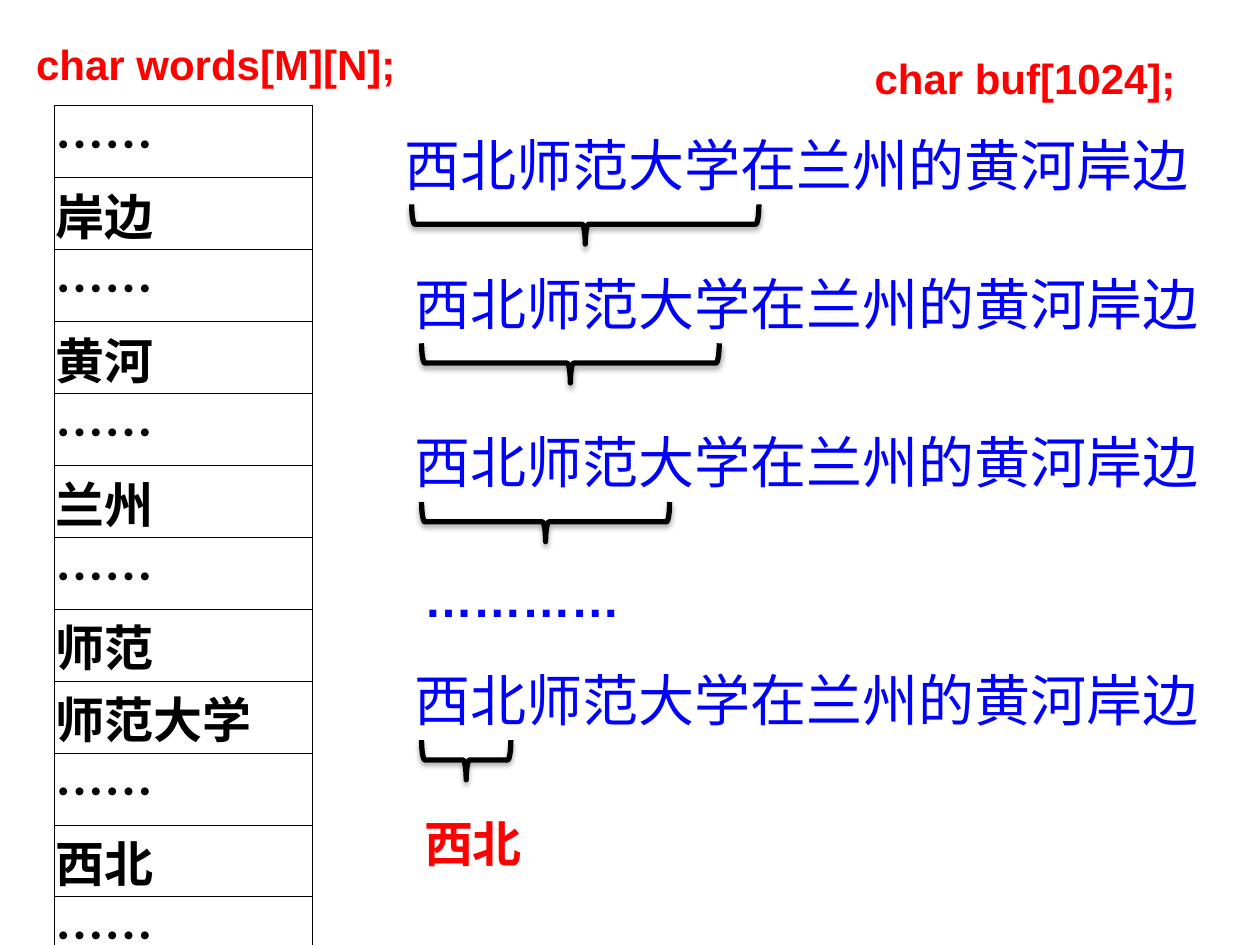
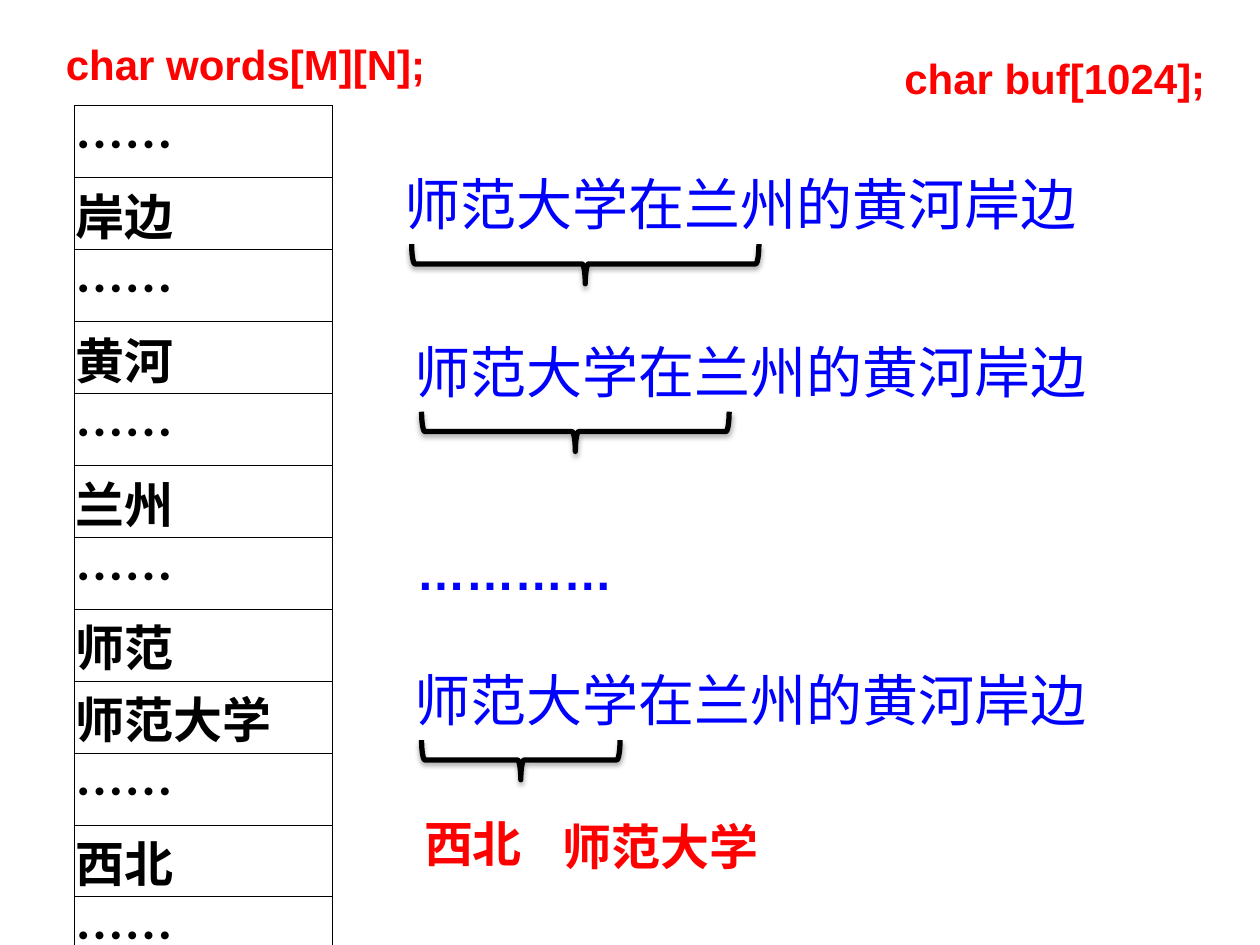
"""Build two slides that show longest-match word segmentation step by step."""
from lxml import etree
from pptx import Presentation
from pptx.dml.color import RGBColor
from pptx.enum.shapes import MSO_SHAPE
from pptx.enum.text import MSO_ANCHOR, MSO_AUTO_SIZE
from pptx.oxml import parse_xml
from pptx.oxml.ns import nsdecls, qn
from pptx.util import Cm, Pt

BRACE = MSO_SHAPE.LEFT_BRACE
MIDDLE = MSO_ANCHOR.MIDDLE
GROW = MSO_AUTO_SIZE.SHAPE_TO_FIT_TEXT

BLACK = RGBColor(0x00, 0x00, 0x00)
RED = RGBColor(0xFF, 0x00, 0x00)
BLUE = RGBColor(0x00, 0x00, 0xFF)
LATIN = "Arial"
CJK = "Noto Sans CJK SC"

WORDS = ["……", "岸边", "……", "黄河", "……", "兰州", "……",
         "师范", "师范大学", "……", "西北", "……", "……"]

SLIDES = [
    {
        "sentence": "西北师范大学在兰州的黄河岸边",
        "tries": [(7.9, 2.5, 7), (8.1, 5.3, 6), (8.1, 8.5, 5), (8.1, 13.3, 1.8)],
        "dots": (8.3, 11.33),
        "found": [("西北", 8.3, 16.28, 2.6)],
        "table_left": 1.1,
        "words_left": 0.48,
        "buf_left": 17.38,
    },
    {
        "sentence": "师范大学在兰州的黄河岸边",
        "tries": [(7.9, 3.3, 7), (8.1, 6.68, 6.2), (8.1, 13.3, 4)],
        "dots": (8.15, 10.8),
        "found": [("西北", 8.3, 16.28, 2.6), ("师范大学", 11.1, 16.33, 4.8)],
        "table_left": 1.5,
        "words_left": 1.08,
        "buf_left": 17.98,
    },
]

TABLE_TOP, TABLE_WIDTH, ROW_HEIGHT, CELL_MARGIN = 2.13, 5.2, 1.45, 0.02
SENTENCE_WIDTH, SENTENCE_HEIGHT = 16.6, 1.62
BRACE_INDENT, BRACE_DEPTH = 0.4, 0.8
WORD_HEIGHT, LABEL_HEIGHT = 1.45, 1.28

SHADOW = (
    f'<a:effectLst {nsdecls("a")}>'
    f'<a:outerShdw blurRad="{Pt(3.1)}" dist="{Pt(1.8)}" dir="5400000" rotWithShape="0">'
    '<a:srgbClr val="000000"><a:alpha val="35000"/></a:srgbClr>'
    '</a:outerShdw></a:effectLst>'
)


def write(tf, text, size=28, color=BLACK, font=CJK, bold=True):
    r = tf.paragraphs[0].add_run()
    r.text = text
    r.font.size = Pt(size)
    r.font.bold = bold
    r.font.name = font
    r.font.color.rgb = color
    r.font._element.find(qn("a:latin")).addnext(
        parse_xml(f'<a:ea {nsdecls("a")} typeface="{font}"/>'))


def add_text(slide, text, left, top, width, height, **fmt):
    tf = slide.shapes.add_textbox(Cm(left), Cm(top), Cm(width), Cm(height)).text_frame
    tf.word_wrap = True
    tf.auto_size = GROW
    write(tf, text, **fmt)


def add_brace(slide, left, top, length):
    sp = slide.shapes.add_shape(
        BRACE,
        Cm(left + (length - BRACE_DEPTH) / 2), Cm(top + (BRACE_DEPTH - length) / 2),
        Cm(BRACE_DEPTH), Cm(length))
    sp.rotation = 270
    sp.fill.background()
    sp.line.color.rgb = BLACK
    sp.line.width = Pt(3)
    sp.shadow.inherit = False
    props = sp._element.spPr
    props.replace(props.find(qn("a:effectLst")), parse_xml(SHADOW))


def add_borders(cell):
    props = cell._tc.get_or_add_tcPr()
    for i, side in enumerate(("lnL", "lnR", "lnT", "lnB")):
        ln = etree.Element(qn(f"a:{side}"), w=str(Pt(0.5)))
        fill = etree.SubElement(ln, qn("a:solidFill"))
        etree.SubElement(fill, qn("a:srgbClr"), val=str(BLACK))
        props.insert(i, ln)


def add_word_table(slide, left):
    table = slide.shapes.add_table(
        len(WORDS), 1, Cm(left), Cm(TABLE_TOP),
        Cm(TABLE_WIDTH), Cm(ROW_HEIGHT * len(WORDS))).table
    table.first_row = False
    table.horz_banding = False
    for row, word in zip(table.rows, WORDS):
        row.height = Cm(ROW_HEIGHT)
        cell = row.cells[0]
        cell.margin_left = cell.margin_right = cell.margin_top = Cm(CELL_MARGIN)
        cell.margin_bottom = 0
        cell.vertical_anchor = MIDDLE
        cell.fill.background()
        add_borders(cell)
        write(cell.text_frame, word)


def add_step(prs, step):
    slide = prs.slides.add_slide(prs.slide_layouts[6])
    add_word_table(slide, step["table_left"])
    for left, top, length in step["tries"]:
        add_text(slide, step["sentence"], left, top, SENTENCE_WIDTH, SENTENCE_HEIGHT,
                 size=32, color=BLUE, bold=False)
        add_brace(slide, left + BRACE_INDENT, top + SENTENCE_HEIGHT, length)
    for word, left, top, width in step["found"]:
        add_text(slide, word, left, top, width, WORD_HEIGHT, color=RED)
    add_text(slide, "…………", *step["dots"], 5.8, WORD_HEIGHT, color=BLUE, font=LATIN)
    label = {"size": 24, "color": RED, "font": LATIN}
    add_text(slide, "char buf[1024];", step["buf_left"], 0.94, 7.32, LABEL_HEIGHT, **label)
    add_text(slide, "char words[M][N];", step["words_left"], 0.65, 7.84, LABEL_HEIGHT, **label)


def main():
    prs = Presentation()
    prs.slide_width, prs.slide_height = Cm(25.4), Cm(19.05)
    for step in SLIDES:
        add_step(prs, step)
    prs.save("out.pptx")


if __name__ == "__main__":
    main()
